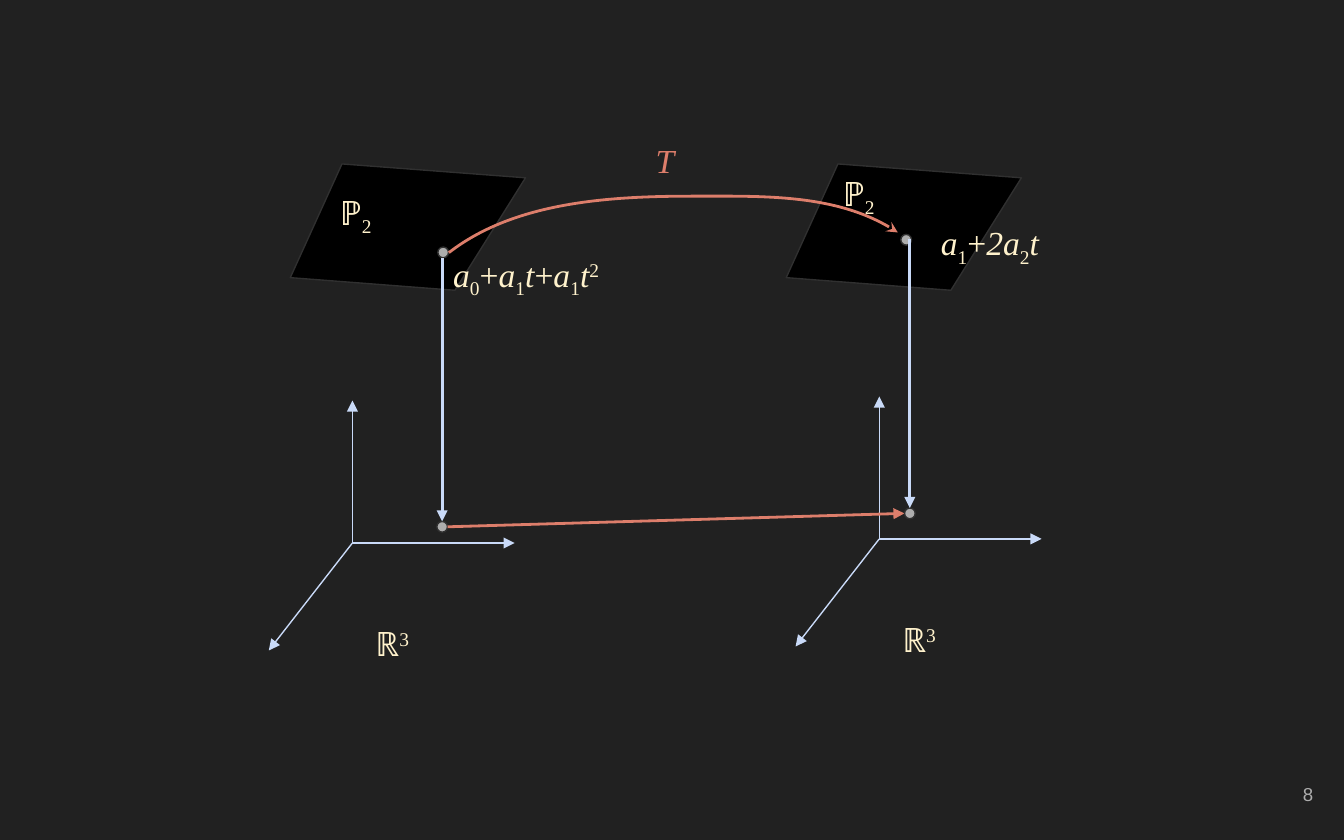
from pptx import Presentation
from pptx.dml.color import RGBColor
from pptx.enum.shapes import MSO_CONNECTOR, MSO_SHAPE
from pptx.enum.text import MSO_ANCHOR, PP_ALIGN
from pptx.oxml.ns import qn
from pptx.util import Inches, Pt
from lxml import etree

STRAIGHT, ELLIPSE = MSO_CONNECTOR.STRAIGHT, MSO_SHAPE.OVAL
TOP, MIDDLE = MSO_ANCHOR.TOP, MSO_ANCHOR.MIDDLE
LEFT, CENTER, RIGHT = PP_ALIGN.LEFT, PP_ALIGN.CENTER, PP_ALIGN.RIGHT

BACKGROUND = RGBColor(0x21, 0x21, 0x21)
BLACK = RGBColor(0, 0, 0)
GREY = RGBColor(0xAD, 0xAD, 0xAD)
OUTLINE = RGBColor(0x30, 0x30, 0x30)
BLUE = RGBColor(0xC9, 0xDA, 0xF8)
CREAM = RGBColor(0xFF, 0xF2, 0xCC)
CORAL = RGBColor(0xDD, 0x7E, 0x6B)

DOT = 0.08
SUBSCRIPT, SUPERSCRIPT = -25000, 30000
REAL_SPACE = [("ℝ", 0), ("3", SUPERSCRIPT)]
POLYNOMIALS = [("ℙ", 0), ("2", SUBSCRIPT)]
QUADRATIC = [
    ("a", 0), ("0", SUBSCRIPT), ("+", 0), ("a", 0), ("1", SUBSCRIPT), ("t", 0),
    ("+", 0), ("a", 0), ("1", SUBSCRIPT), ("t", 0), ("2", SUPERSCRIPT),
]
DERIVATIVE = [("a", 0), ("1", SUBSCRIPT), ("+", 0), ("2a", 0), ("2", SUBSCRIPT), ("t", 0)]
PLANE_CORNERS = [(0, 0.9), (0.7, 1), (1, 0.11), (0.22, 0)]
AXIS_ORIGIN = (0.34, 0.57)
AXIS_TIPS = [(0.34, 0), (1, 0.57), (0, 1)]


def place(box, share):
    """Turn shares of a box into a point on the slide."""
    left, top, width, height = box
    return left + share[0] * width, top + share[1] * height


def add_text(slide, box, runs, font="Times New Roman", size=18, color=CREAM,
             align=CENTER, anchor=TOP, spacing=1.15, italic=False):
    """Write one line of runs; italics apply to the letters and coefficients on the baseline."""
    frame = slide.shapes.add_textbox(*map(Inches, box)).text_frame
    frame.word_wrap = True
    frame.vertical_anchor = anchor
    frame.margin_left = frame.margin_right = Inches(0.1)
    frame.margin_top = frame.margin_bottom = Inches(0.1)
    paragraph = frame.paragraphs[0]
    paragraph.alignment = align
    paragraph.line_spacing = spacing
    for text, baseline in runs:
        run = paragraph.add_run()
        run.text = text
        run.font.name = font
        run.font.size = Pt(size)
        run.font.color.rgb = color
        run.font.italic = italic and not baseline and text != "+"
        if baseline:
            run._r.get_or_add_rPr().set("baseline", str(baseline))


def style_shape(shape, fill):
    """Give a shape a plain fill and the thin dark outline."""
    shape.shadow.inherit = False
    shape.fill.solid()
    shape.fill.fore_color.rgb = fill
    shape.line.color.rgb = OUTLINE
    shape.line.width = Pt(0.75)


def style_arrow(shape, color, width, head):
    """Colour a line and put an arrowhead at its end."""
    shape.line.color.rgb = color
    shape.line.width = Pt(width)
    etree.SubElement(shape.line._get_or_add_ln(), qn("a:tailEnd"), type=head)


def add_arrow(slide, start, end, color=BLUE, width=1.5):
    """Draw a straight arrow."""
    arrow = slide.shapes.add_connector(STRAIGHT, *map(Inches, (*start, *end)))
    style_arrow(arrow, color, width, "triangle")
    etree.SubElement(arrow._element.spPr, qn("a:effectLst"))


def add_dot(slide, center):
    """Mark a point."""
    left, top = (value - DOT / 2 for value in center)
    dot = slide.shapes.add_shape(ELLIPSE, *map(Inches, (left, top, DOT, DOT)))
    style_shape(dot, GREY)


def add_outline(slide, points, close):
    """Build a freeform through points given in inches."""
    builder = slide.shapes.build_freeform(
        Inches(points[0][0]), Inches(points[0][1]), scale=1.0)
    builder.add_line_segments(
        [(Inches(x), Inches(y)) for x, y in points[1:]], close=close)
    shape = builder.convert_to_shape()
    shape.shadow.inherit = False
    return shape


def add_curved_arrow(slide, points):
    """Draw an arrow along cubic curves, three points to each curve."""
    shape = add_outline(slide, points, close=False)
    shape.fill.background()
    segments = list(shape._element.iter(qn("a:lnTo")))
    outline = segments[0].getparent()
    for first in range(0, len(segments), 3):
        curve = etree.SubElement(outline, qn("a:cubicBezTo"))
        for segment in segments[first:first + 3]:
            curve.append(segment[0])
            outline.remove(segment)
    style_arrow(shape, CORAL, 1.5, "stealth")


def add_axes(slide, box):
    """Draw the three axes of a space and its name below them."""
    for tip in AXIS_TIPS:
        add_arrow(slide, place(box, AXIS_ORIGIN), place(box, tip), width=0.75)
    add_text(slide, (*place(box, (0.33, 0.84)), 0.63, 0.48), REAL_SPACE,
             anchor=MIDDLE, spacing=1.0)


def add_plane(slide, box, name_at, dot_at, formula, formula_at, formula_width):
    """Draw a polynomial plane with its name, a point and the formula of the point."""
    corners = [place(box, corner) for corner in PLANE_CORNERS]
    style_shape(add_outline(slide, corners, close=True), BLACK)
    add_text(slide, (*place(box, name_at), 0.45, 0.56), POLYNOMIALS)
    add_dot(slide, place(box, dot_at))
    add_text(slide, (*place(box, formula_at), formula_width, 0.56), formula, italic=True)


def add_mapping(slide):
    """Draw the transformation between the planes and its image between the spaces."""
    source, target = (3.29, 3.92), (6.77, 3.82)
    add_dot(slide, source)
    add_arrow(slide, (3.33, 3.92), (6.73, 3.82), color=CORAL)
    add_curved_arrow(slide, [(3.34, 1.88), (3.83, 1.5), (4.54, 1.46), (5.16, 1.46),
                             (5.67, 1.46), (6.25, 1.44), (6.68, 1.73)])
    add_text(slide, (4.78, 0.9, 0.45, 0.56), [("T", 0)], color=CORAL, align=LEFT, italic=True)
    add_arrow(slide, (3.29, 1.92), (3.29, 3.88))
    add_dot(slide, target)
    add_arrow(slide, (6.77, 1.78), (6.77, 3.78))


def main():
    """Build the slide and save it."""
    presentation = Presentation()
    presentation.slide_width, presentation.slide_height = Inches(10), Inches(6.25)
    slide = presentation.slides.add_slide(presentation.slide_layouts[6])
    slide.background.fill.solid()
    slide.background.fill.fore_color.rgb = BACKGROUND
    add_text(slide, (9.27, 5.67, 0.6, 0.48), [("8", 0)], font="Arial", size=10,
             color=GREY, align=RIGHT, anchor=MIDDLE, spacing=1.0)
    add_axes(slide, (2.0, 2.98, 1.83, 1.86))
    add_axes(slide, (5.92, 2.95, 1.83, 1.86))
    add_plane(slide, (2.16, 1.22, 1.75, 0.94), (0.15, 0.06), (0.65, 0.7),
              QUADRATIC, (0.62, 0.55), 1.34)
    add_plane(slide, (5.85, 1.22, 1.75, 0.94), (0.18, -0.09), (0.51, 0.6),
              DERIVATIVE, (0.5, 0.3), 1.28)
    add_mapping(slide)
    presentation.save("out.pptx")


if __name__ == "__main__":
    main()
